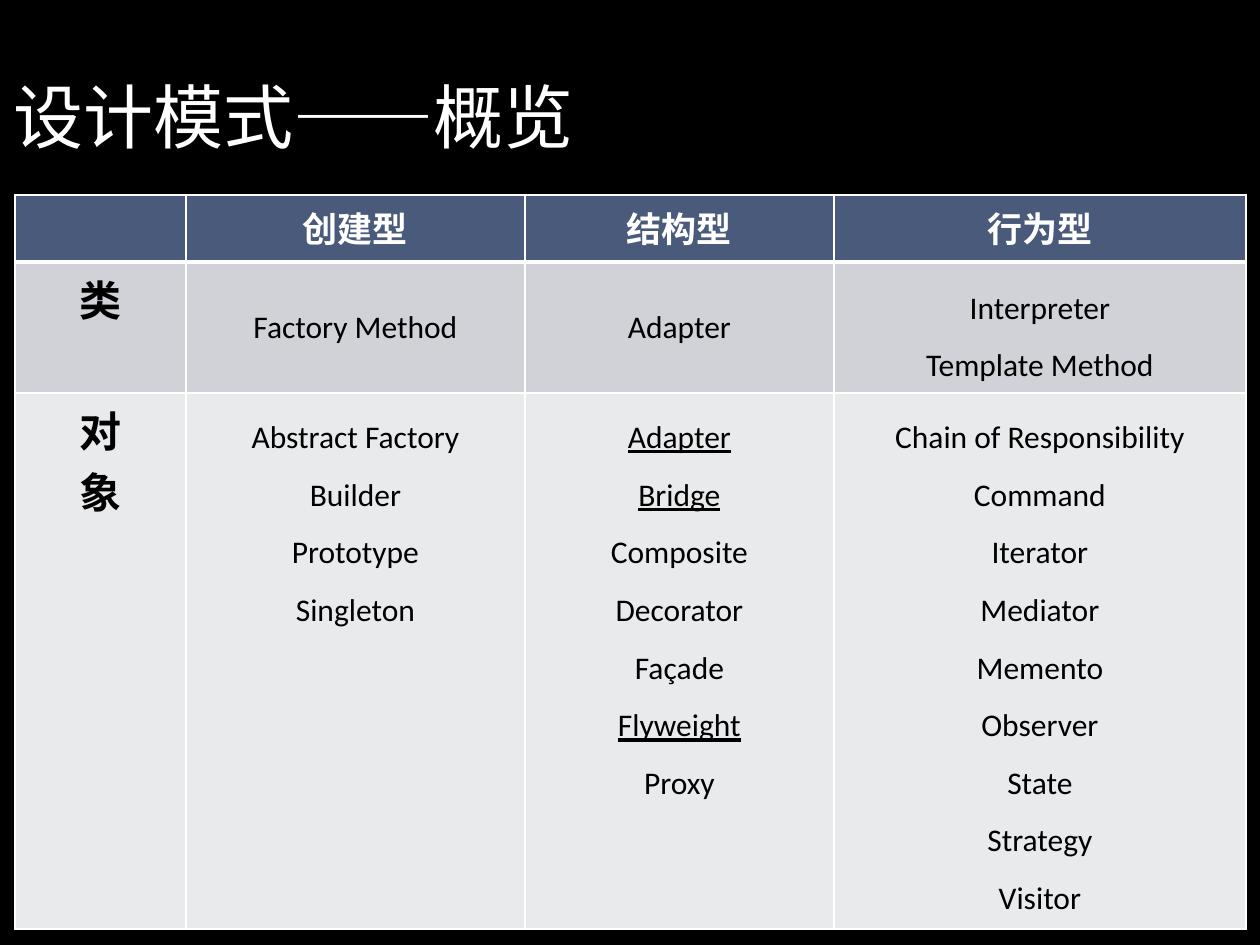
from dataclasses import dataclass

from lxml import etree
from pptx import Presentation
from pptx.dml.color import RGBColor
from pptx.enum import text
from pptx.oxml import ns
from pptx.util import Emu, Pt

PX = 914400 / 126
FONT = "Calibri"
BLACK = RGBColor(0x00, 0x00, 0x00)
WHITE = RGBColor(0xFF, 0xFF, 0xFF)
NAVY = RGBColor(0x4A, 0x5A, 0x7A)
GREY = RGBColor(0xD0, 0xD2, 0xD7)
PALE = RGBColor(0xE9, 0xEA, 0xEC)

COLUMN_WIDTHS = (171, 339, 309, 412)
UNDERLINED = {"Adapter", "Bridge", "Flyweight"}


@dataclass(frozen=True)
class Band:
    height: int
    fill: RGBColor
    cells: tuple[tuple[str, ...], ...]
    color: RGBColor = BLACK
    anchor: text.MSO_ANCHOR = text.MSO_ANCHOR.TOP
    label_size: int = 24
    size: int = 18
    bold: bool = False
    spacing: float = 1.5
    bottom_border: int = 1
    underlined: frozenset[str] = frozenset()


HEADER = Band(67, NAVY, ((), ("创建型",), ("结构型",), ("行为型",)),
              color=WHITE, size=20, bold=True, spacing=1.0, bottom_border=3)
CLASS_PATTERNS = Band(
    131, GREY,
    (("类",), ("Factory Method",), ("Adapter",),
     ("Interpreter", "Template Method")),
    anchor=text.MSO_ANCHOR.MIDDLE)
OBJECT_PATTERNS = Band(
    536, PALE,
    (("对", "象"),
     ("Abstract Factory", "Builder", "Prototype", "Singleton"),
     ("Adapter", "Bridge", "Composite", "Decorator", "Façade", "Flyweight",
      "Proxy"),
     ("Chain of Responsibility", "Command", "Iterator", "Mediator", "Memento",
      "Observer", "State", "Strategy", "Visitor")),
    underlined=frozenset(UNDERLINED))
BANDS = (HEADER, CLASS_PATTERNS, OBJECT_PATTERNS)


def px(length: int) -> Emu:
    return Emu(round(length * PX))


def write(frame, lines: tuple[str, ...], *, size: int, color: RGBColor,
          bold: bool = False, align=text.PP_ALIGN.CENTER,
          spacing: float = 1.0, before: int = 0,
          underlined: frozenset[str] = frozenset()) -> None:
    for index, line in enumerate(lines):
        paragraph = frame.add_paragraph() if index else frame.paragraphs[0]
        paragraph.alignment = align
        paragraph.line_spacing = spacing
        paragraph.space_before = Pt(before)
        run = paragraph.add_run()
        run.text = line
        run.font.name = FONT
        run.font.size = Pt(size)
        run.font.bold = bold
        run.font.underline = line in underlined
        run.font.color.rgb = color


def set_borders(cell, widths: dict[str, int]) -> None:
    properties = cell._tc.get_or_add_tcPr()
    for index, (side, width) in enumerate(widths.items()):
        border = etree.Element(ns.qn(f"a:ln{side}"), w=str(Pt(width)))
        fill = etree.SubElement(border, ns.qn("a:solidFill"))
        etree.SubElement(fill, ns.qn("a:srgbClr"), val=str(WHITE))
        properties.insert(index, border)


def draw_band(table, row: int, band: Band) -> None:
    table.rows[row].height = px(band.height)
    top_border = BANDS[row - 1].bottom_border if row else 1
    for column, lines in enumerate(band.cells):
        is_label = column == 0
        cell = table.cell(row, column)
        cell.fill.solid()
        cell.fill.fore_color.rgb = band.fill
        cell.vertical_anchor = text.MSO_ANCHOR.TOP if is_label else band.anchor
        set_borders(cell, {"L": 1, "R": 1, "T": top_border,
                           "B": band.bottom_border})
        write(cell.text_frame, lines, color=band.color,
              size=band.label_size if is_label else band.size,
              bold=is_label or band.bold,
              spacing=band.spacing if len(lines) > 1 and not is_label else 1.0,
              underlined=band.underlined)


def draw_title(slide, heading: str) -> None:
    title = slide.shapes.title
    title.left, title.top = px(1), px(16)
    title.width, title.height = px(1058), px(148)
    title.text_frame.auto_size = text.MSO_AUTO_SIZE.NONE
    title.text_frame.vertical_anchor = text.MSO_ANCHOR.BOTTOM
    write(title.text_frame, (heading,), size=40, color=WHITE,
          align=text.PP_ALIGN.LEFT, before=4)


def draw_overview(slide) -> None:
    height = sum(band.height for band in BANDS)
    table = slide.shapes.add_table(
        len(BANDS), len(COLUMN_WIDTHS), px(15), px(195),
        px(sum(COLUMN_WIDTHS)), px(height)).table
    for column, width in zip(table.columns, COLUMN_WIDTHS):
        column.width = px(width)
    for row, band in enumerate(BANDS):
        draw_band(table, row, band)


def main() -> None:
    deck = Presentation()
    deck.slide_width, deck.slide_height = px(1260), px(945)
    slide = deck.slides.add_slide(deck.slide_layouts[5])
    slide.background.fill.solid()
    slide.background.fill.fore_color.rgb = BLACK
    draw_title(slide, "设计模式——概览")
    draw_overview(slide)
    deck.save("out.pptx")


if __name__ == "__main__":
    main()
